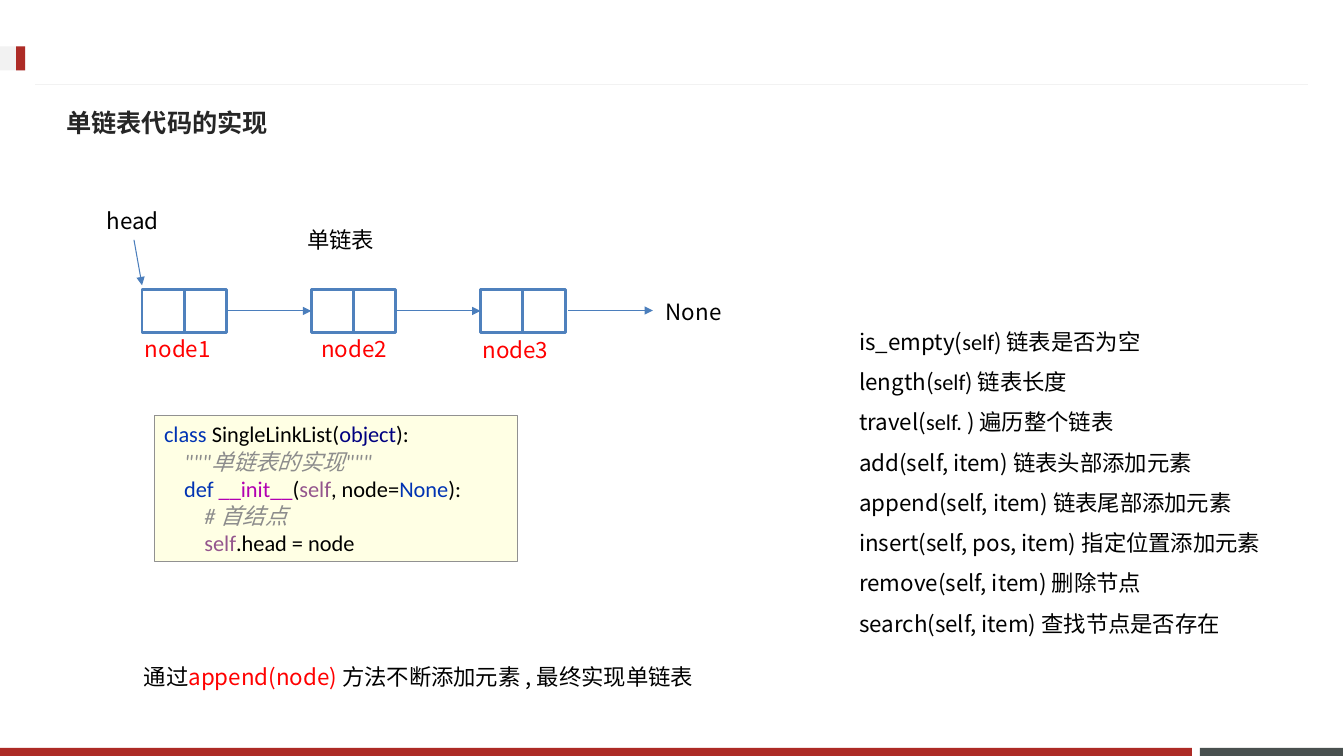
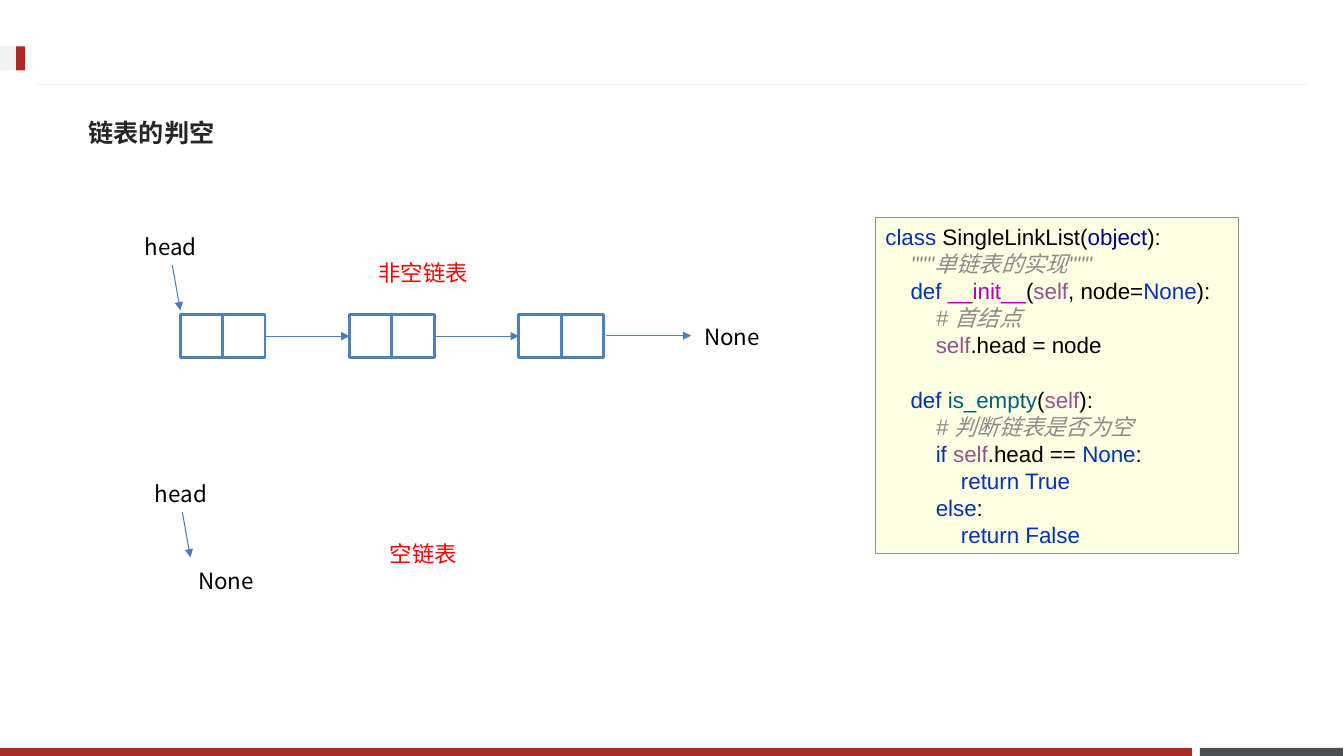
"""Build two slides on the code of a singly linked list."""
from dataclasses import dataclass
from typing import NamedTuple

from lxml.etree import SubElement
from pptx import Presentation
from pptx.dml.color import RGBColor
from pptx.enum.shapes import MSO_CONNECTOR as Connector, MSO_SHAPE as Preset
from pptx.enum.text import MSO_ANCHOR as Anchor, MSO_AUTO_SIZE as AutoSize
from pptx.oxml.ns import qn
from pptx.shapes.autoshape import Shape
from pptx.shapes.connector import Connector as Link
from pptx.slide import Slide
from pptx.text.text import TextFrame
from pptx.util import Pt

PX = 9144
RED, SLATE, PALE = "AD2B26", "49504F", "F2F2F2"
WHITE, BLACK, ALERT, HEADING = "FFFFFF", "000000", "FF0000", "262626"
CELL_EDGE, ARROW = "4F81BD", "4B7EBC"
CODE_FILL, CODE_EDGE = "FFFFE4", "919191"
KEYWORD, BUILTIN, REMARK = "0033B3", "000080", "8C8C8C"
MAGIC, SELF, FUNCTION = "B200B2", "94558D", "00627A"
SANS, SANS_TITLE = "Noto Sans CJK SC", "Noto Sans CJK JP"
CELL_WIDTH, CELL_HEIGHT, NODE_STEP, NODE_COUNT = 42, 43, 168, 3
LABEL_HEIGHT, CODE_WIDTH = 37, 360
CODE_PITCH = Pt(19.4)


class Box(NamedTuple):
    left: int
    top: int
    width: int
    height: int


class Span(NamedTuple):
    text: str
    color: str = ""
    face: str = ""


@dataclass(frozen=True)
class Line:
    spans: tuple[Span, ...]
    level: int = 0
    gap: bool = False


@dataclass(frozen=True)
class Style:
    face: str = SANS
    east_face: str = SANS
    size: int = 16
    color: str = BLACK
    bold: bool = False
    spacing: float | int | None = None
    indent: int = 0


@dataclass(frozen=True)
class Label:
    text: str
    left: int
    top: int
    width: int
    color: str = BLACK


@dataclass(frozen=True)
class Band:
    box: Box
    color: str


BANDS = (
    Band(Box(1191, 742, 142, 8), SLATE),
    Band(Box(0, 742, 1183, 8), RED),
    Band(Box(0, 46, 25, 24), PALE),
    Band(Box(16, 46, 9, 24), RED),
)
SELF_SPAN = Span("self", SELF)
NONE_SPAN = Span("None", KEYWORD)
DEF_SPAN = Span("def ", KEYWORD)

CLASS_CODE = (
    Line((Span("class ", KEYWORD), Span("SingleLinkList("),
          Span("object", BUILTIN), Span("):"))),
    Line((Span('"""单链表的实现"""', REMARK),), 1),
    Line((DEF_SPAN, Span("__init__", MAGIC), Span("("), SELF_SPAN,
          Span(", node="), NONE_SPAN, Span("):")), 1),
    Line((Span("# 首结点", REMARK),), 2),
    Line((SELF_SPAN, Span(".head = node")), 2),
)
IS_EMPTY_CODE = (
    Line((DEF_SPAN, Span("is_empty", FUNCTION), Span("("), SELF_SPAN,
          Span("):")), 1, gap=True),
    Line((Span("# 判断链表是否为空", REMARK),), 2),
    Line((Span("if ", KEYWORD), SELF_SPAN, Span(".head == "), NONE_SPAN,
          Span(":")), 2),
    Line((Span("return True", KEYWORD),), 3),
    Line((Span("else", KEYWORD), Span(":")), 2),
    Line((Span("return False", KEYWORD),), 3),
)
METHODS = (
    Line((Span("is_empty("), Span("self", face="Calibri"), Span(") 链表是否为空"))),
    Line((Span("length("), Span("self", face="Calibri"), Span(") 链表长度"))),
    Line((Span("travel("), Span("self. ", face="Calibri"), Span(") 遍历整个链表"))),
    Line((Span("add(self, item) 链表头部添加元素"),)),
    Line((Span("append(self, item) 链表尾部添加元素"),)),
    Line((Span("insert(self, pos, item) 指定位置添加元素"),)),
    Line((Span("remove(self, item) 删除节点"),)),
    Line((Span("search(self, item) 查找节点是否存在"),)),
)
APPEND_NOTE = Line((Span("通过"), Span("append(node) ", ALERT),
                    Span("方法不断添加元素 , 最终实现单链表")))


def rgb(color: str) -> RGBColor:
    return RGBColor.from_string(color)


def emu(lengths: tuple[int, ...]) -> list[int]:
    return [length * PX for length in lengths]


def add_rect(slide: Slide, box: Box, fill: str, edge: str = "",
             weight: float = 0) -> Shape:
    rect = slide.shapes.add_shape(Preset.RECTANGLE, *emu(box))
    rect.shadow.inherit = False
    rect.fill.solid()
    rect.fill.fore_color.rgb = rgb(fill)
    if edge:
        rect.line.color.rgb = rgb(edge)
        rect.line.width = Pt(weight)
    else:
        rect.line.fill.background()
    return rect


def add_line(slide: Slide, ends: tuple[int, int, int, int], color: str,
             arrow: bool = False) -> Link:
    link = slide.shapes.add_connector(Connector.STRAIGHT, *emu(ends))
    link.line.color.rgb = rgb(color)
    link.line.width = Pt(0.75)
    if arrow:
        SubElement(link.line._get_or_add_ln(), qn("a:tailEnd"), type="triangle")
    SubElement(link._element.spPr, qn("a:effectLst"))
    return link


def write_lines(frame: TextFrame, lines: tuple[Line, ...], style: Style) -> None:
    for index, line in enumerate(lines):
        paragraph = frame.add_paragraph() if index else frame.paragraphs[0]
        paragraph.line_spacing = style.spacing
        if line.gap:
            paragraph.space_before = CODE_PITCH
        font = paragraph.font
        font.name, font.size, font.bold = style.face, Pt(style.size), style.bold
        font.color.rgb = rgb(style.color)
        properties = paragraph._p.get_or_add_pPr()
        properties.set("algn", "l")
        properties.set("marL", str(line.level * style.indent * PX))
        SubElement(properties.find(qn("a:defRPr")), qn("a:ea"),
                   typeface=style.east_face)
        for span in line.spans:
            run = paragraph.add_run()
            run.text = span.text
            if span.color:
                run.font.color.rgb = rgb(span.color)
            if span.color == REMARK:
                run.font.italic = True
            if span.face:
                run.font.name = span.face


def add_text(slide: Slide, box: Box, lines: tuple[Line, ...],
             style: Style = Style(), wrap: bool = True) -> Shape:
    words = slide.shapes.add_textbox(*emu(box))
    frame = words.text_frame
    frame.word_wrap = wrap
    frame.auto_size = AutoSize.SHAPE_TO_FIT_TEXT
    write_lines(frame, lines, style)
    return words


def add_label(slide: Slide, label: Label) -> Shape:
    box = Box(label.left, label.top, label.width, LABEL_HEIGHT)
    return add_text(slide, box, (Line((Span(label.text),)),),
                    Style(color=label.color), wrap=False)


def add_code(slide: Slide, left: int, top: int, height: int,
             lines: tuple[Line, ...], face: str, indent: int) -> None:
    panel = add_rect(slide, Box(left, top, CODE_WIDTH, height),
                     CODE_FILL, CODE_EDGE, 0.25)
    frame = panel.text_frame
    frame.word_wrap = True
    frame.vertical_anchor = Anchor.TOP
    frame.auto_size = AutoSize.SHAPE_TO_FIT_TEXT
    write_lines(frame, lines,
                Style(face=face, spacing=CODE_PITCH, indent=indent))


def add_head(slide: Slide, left: int, top: int) -> None:
    head = add_label(slide, Label("head", left - 45, top - 86, 74))
    pointer = add_line(slide, (left - 8, top - 49, left, top - 4), ARROW, True)
    pointer.begin_connect(head, 2)


def add_chain(slide: Slide, left: int, top: int) -> None:
    previous = None
    for index in range(NODE_COUNT):
        node_left = left + index * NODE_STEP
        value, following = (
            add_rect(slide, Box(node_left + part * CELL_WIDTH, top,
                                CELL_WIDTH, CELL_HEIGHT), WHITE, CELL_EDGE, 2)
            for part in range(2))
        if previous is not None:
            middle = top + CELL_HEIGHT // 2
            link = add_line(slide, (node_left - 2 * CELL_WIDTH, middle,
                                    node_left, middle), ARROW, True)
            link.begin_connect(previous, 3)
            link.end_connect(value, 1)
        previous = following
    add_head(slide, left, top)
    add_line(slide, (left + 423, top + 21, left + 507, top + 21), ARROW, True)
    add_label(slide, Label("None", left + 510, top + 4, 79))


def start_slide(deck: Presentation, title: str, left: int, top: int) -> Slide:
    slide = deck.slides.add_slide(deck.slide_layouts[6])
    for band in BANDS:
        add_rect(slide, band.box, band.color)
    add_line(slide, (1298, 84, 35, 84), PALE)
    heading = add_text(slide, Box(left, top, 1176, 57), (Line((Span(title),)),),
                       Style(SANS_TITLE, SANS_TITLE, 18, HEADING, True))
    heading.text_frame.auto_size = AutoSize.NONE
    heading.text_frame.vertical_anchor = Anchor.MIDDLE
    return slide


def build_list_slide(deck: Presentation) -> None:
    slide = start_slide(deck, "单链表代码的实现", 56, 93)
    add_chain(slide, 141, 287)
    for label in (Label("单链表", 295, 219, 88),
                  Label("node1", 134, 328, 89, ALERT),
                  Label("node2", 309, 328, 89, ALERT),
                  Label("node3", 469, 329, 89, ALERT)):
        add_label(slide, label)
    add_text(slide, Box(843, 307, 485, 369), METHODS, Style(spacing=1.5))
    add_text(slide, Box(133, 653, 584, 64), (APPEND_NOTE,))
    add_code(slide, 153, 412, 145, CLASS_CODE, "Calibri", 20)


def build_empty_slide(deck: Presentation) -> None:
    slide = start_slide(deck, "链表的判空", 78, 103)
    add_chain(slide, 179, 312)
    add_head(slide, 189, 557)
    for label in (Label("None", 187, 558, 79),
                  Label("非空链表", 366, 252, 110, ALERT),
                  Label("空链表", 377, 531, 88, ALERT)):
        add_label(slide, label)
    add_code(slide, 869, 216, 333, CLASS_CODE + IS_EMPTY_CODE, "Arial", 25)


def main() -> None:
    deck = Presentation()
    deck.slide_width, deck.slide_height = emu((1334, 750))
    build_list_slide(deck)
    build_empty_slide(deck)
    deck.save("out.pptx")


if __name__ == "__main__":
    main()
